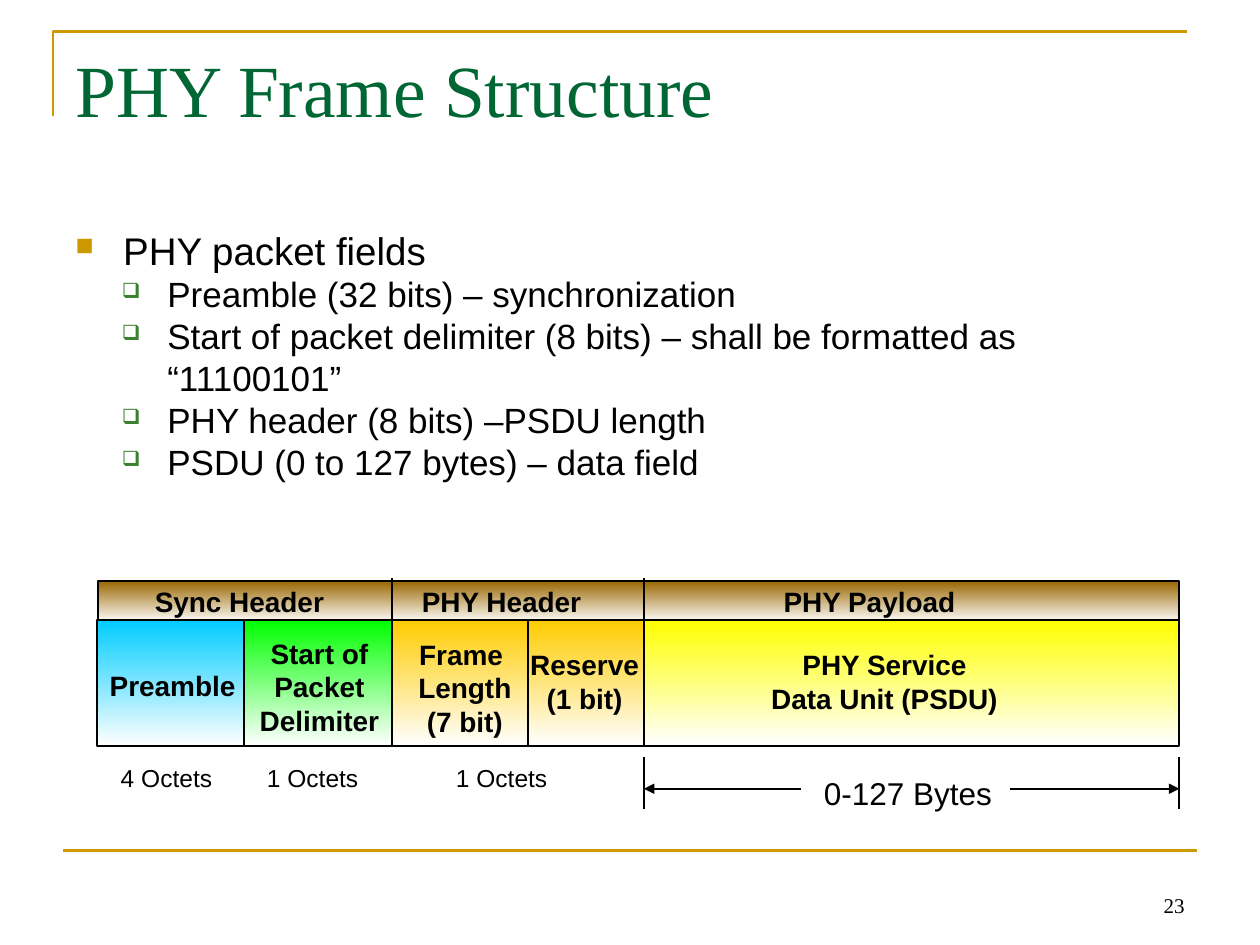
from typing import NamedTuple
from lxml.etree import SubElement
from pptx import Presentation
from pptx.dml.color import RGBColor
from pptx.enum.shapes import MSO_CONNECTOR, MSO_SHAPE
from pptx.enum.text import MSO_ANCHOR, MSO_AUTO_SIZE, PP_ALIGN
from pptx.oxml.ns import qn
from pptx.util import Inches, Pt

HUES = {
    "ink": "000000", "white": "FFFFFF", "gold": "CC9900", "title": "006633",
    "leaf": "3B812F", "brown": "996600", "sky": "00CCFF", "green": "00FF00",
    "amber": "FFCC00", "yellow": "FFFF00",
}
LEFT, RIGHT, CENTER = PP_ALIGN.LEFT, PP_ALIGN.RIGHT, PP_ALIGN.CENTER


class Band(NamedTuple):
    left: float
    top: float
    width: float
    height: float
    hue: str


class Rule(NamedTuple):
    x1: float
    y1: float
    x2: float
    y2: float
    hue: str = "ink"
    size: float = 1
    arrow: bool = False


class Label(NamedTuple):
    text: str
    left: float
    top: float
    width: float
    height: float


class Item(NamedTuple):
    text: str
    size: float
    mark: str
    hue: str
    scale: int
    left: float
    hang: float
    level: int


def color(name: str) -> RGBColor:
    return RGBColor.from_string(HUES[name])


def add_text(slide, text: str, left: float, top: float, width: float, height: float, *,
             size: float = 16, font: str = "Arial", hue: str = "ink", bold: bool = False,
             align=LEFT, anchor=MSO_ANCHOR.TOP, wrap: bool = True, pad: float = 0.1):
    box = slide.shapes.add_textbox(Inches(left), Inches(top), Inches(width), Inches(height))
    frame = box.text_frame
    frame.word_wrap = wrap
    frame.auto_size = MSO_AUTO_SIZE.NONE if wrap else MSO_AUTO_SIZE.SHAPE_TO_FIT_TEXT
    frame.vertical_anchor = anchor
    frame.margin_right = Inches(pad)
    frame.text = text
    for para in frame.paragraphs:
        para.alignment = align
        for run in para.runs:
            run.font.size = Pt(size)
            run.font.name = font
            run.font.bold = bold
            run.font.color.rgb = color(hue)
    return frame


def add_mark(para, item: Item) -> None:
    para.level = item.level
    para.runs[0].font.size = Pt(item.size)
    props = para._p.get_or_add_pPr()
    props.set("marL", str(Inches(item.left)))
    props.set("indent", str(-Inches(item.hang)))
    tint = SubElement(props, qn("a:buClr"))
    SubElement(tint, qn("a:srgbClr"), val=HUES[item.hue])
    SubElement(props, qn("a:buSzPct"), val=str(item.scale * 1000))
    SubElement(props, qn("a:buChar"), char=item.mark)


def add_band(slide, band: Band) -> None:
    box = slide.shapes.add_shape(MSO_SHAPE.RECTANGLE, *map(Inches, band[:4]))
    box.shadow.inherit = False
    box.fill.gradient()
    box.fill.gradient_angle = 270
    for stop, hue in zip(box.fill.gradient_stops, (band.hue, "white")):
        stop.color.rgb = color(hue)
    box.line.color.rgb = color("ink")
    box.line.width = Pt(1)


def add_rule(slide, rule: Rule) -> None:
    line = slide.shapes.add_connector(MSO_CONNECTOR.STRAIGHT, *map(Inches, rule[:4]))
    line.line.color.rgb = color(rule.hue)
    line.line.width = Pt(rule.size)
    if rule.arrow:
        SubElement(line.line._get_or_add_ln(), qn("a:tailEnd"), type="triangle")
    SubElement(line._element.spPr, qn("a:effectLst"))


def add_frame(slide) -> None:
    path = slide.shapes.build_freeform(Inches(0.42), Inches(0.92))
    path.add_line_segments([(Inches(0.42), Inches(0.25)), (Inches(9.42), Inches(0.25))],
                           close=False)
    edge = path.convert_to_shape()
    edge.shadow.inherit = False
    edge.fill.background()
    edge.line.color.rgb = color("gold")
    edge.line.width = Pt(1.5)


# Column edges and row heights of the packet
START, SPLIT, PHY, BIT, DATA, END = 0.77, 1.94, 3.11, 4.19, 5.11, 9.36
HEAD, ROW, BASE = 4.59, 4.92, 5.92
SPAN_TOP, SPAN_MID, SPAN_END = 6.01, 6.26, 6.42

BANDS = [Band(0.78, 4.61, 8.58, 0.33, "brown")] + [
    Band(a, ROW, b - a, BASE - ROW, hue) for a, b, hue in (
        (START, SPLIT, "sky"), (SPLIT, PHY, "green"),
        (PHY, DATA, "amber"), (DATA, END, "yellow"))
]
RULES = [
    Rule(0.5, 6.75, 9.5, 6.75, "gold", 1.5),
    Rule(BIT, ROW, BIT, BASE),
    *(Rule(x, HEAD, x, ROW) for x in (PHY, DATA)),
    *(Rule(x, SPAN_TOP, x, SPAN_END) for x in (DATA, END)),
    Rule(6.36, SPAN_MID, DATA, SPAN_MID, arrow=True),
    Rule(8.02, SPAN_MID, END, SPAN_MID, arrow=True),
]
HEADS = [("Sync Header", 0.94), ("PHY Header", 3.02), ("PHY Payload", 5.94)]
FIELDS = [
    Label("Preamble", 0.77, 5.26, 1.2, 0.37),
    Label("Start of\nPacket\nDelimiter", 1.96, 5, 1.15, 0.9),
    Label("Frame \nLength\n(7 bit)", 3.22, 5.01, 0.94, 0.9),
    Label("Reserve\n(1 bit)", 4.11, 5.09, 1.06, 0.64),
    Label("PHY Service\nData Unit (PSDU)", 6.02, 5.09, 2, 0.64),
]
SIZES = [("4 Octets", 0.86), ("1 Octets", 2.02), ("1 Octets", 3.52)]
ITEMS = [Item("PHY packet fields", 22, "■", "gold", 65, 0.38, 0.38, 0)] + [
    Item(text, 20, "❑", "leaf", 60, 0.73, 0.36, 1) for text in (
        "Preamble (32 bits) – synchronization",
        "Start of packet delimiter (8 bits) – shall be formatted as “11100101”",
        "PHY header (8 bits) –PSDU length",
        "PSDU (0 to 127 bytes) – data field")
]


def main() -> None:
    deck = Presentation()
    deck.slide_width, deck.slide_height = Inches(10), Inches(7.5)
    slide = deck.slides.add_slide(deck.slide_layouts[6])

    # Frame, title and page number
    add_frame(slide)
    add_text(slide, "PHY Frame Structure", 0.5, 0.3, 9, 1.25, size=42,
             font="Times New Roman", hue="title")
    add_text(slide, "23", 7.17, 6.83, 2.33, 0.5, size=12, font="Times New Roman",
             align=RIGHT, anchor=MSO_ANCHOR.BOTTOM)

    # Bullet list
    body = add_text(slide, "\n".join(item.text for item in ITEMS), 0.5, 1.75, 9, 4.95)
    for para, item in zip(body.paragraphs, ITEMS):
        add_mark(para, item)

    # Packet bands, dividers and span arrows
    for band in BANDS:
        add_band(slide, band)
    for rule in RULES:
        add_rule(slide, rule)

    # Packet labels
    for text, left in HEADS:
        add_text(slide, text, left, HEAD, 1.92, 0.37, bold=True, align=CENTER)
    for field in FIELDS:
        add_text(slide, *field, bold=True, align=CENTER, wrap=False)

    # Sizes below the packet, with room to stay on one line
    for text, left in SIZES:
        add_text(slide, text, left, SPAN_TOP, 0.92, 0.33, size=14, pad=0)
    add_text(slide, "0-127 Bytes", 6.44, 6.09, 1.53, 0.4, size=18, pad=0)

    deck.save("out.pptx")


if __name__ == "__main__":
    main()
